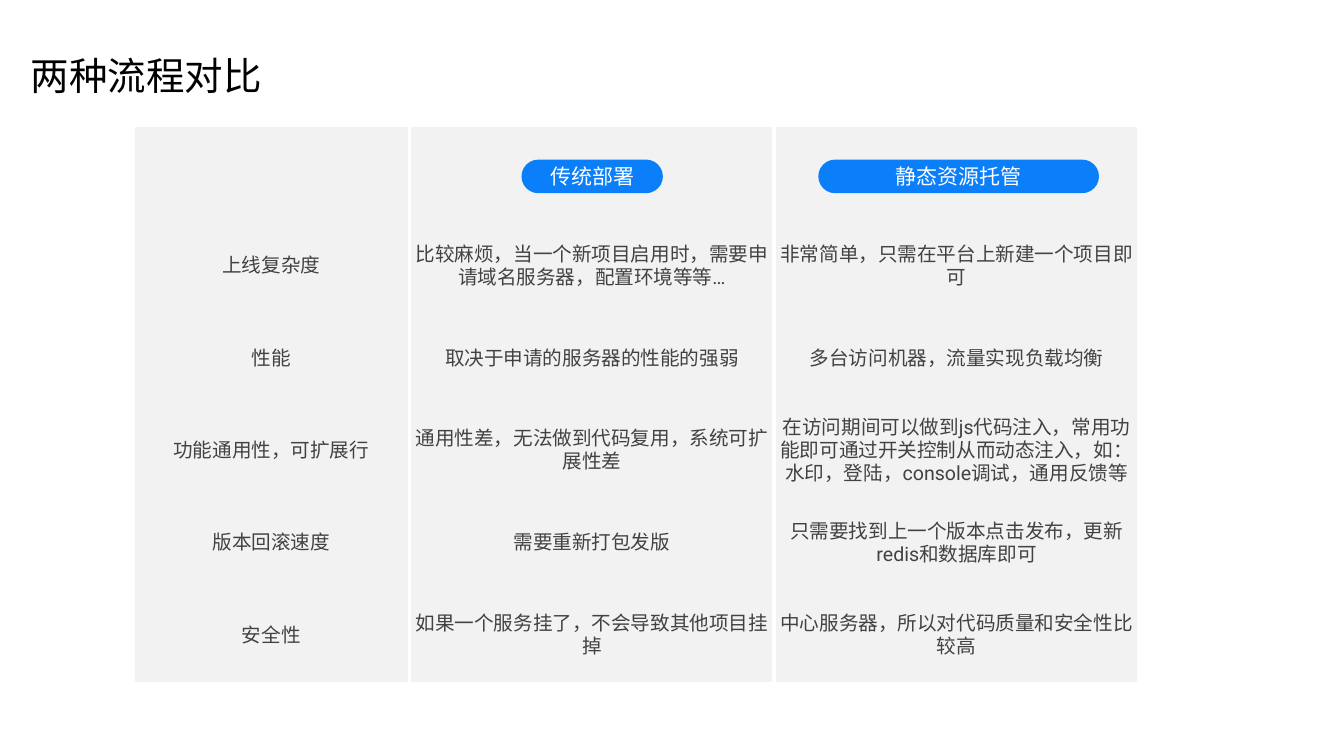
from dataclasses import dataclass

import pptx
import pptx.dml.color
import pptx.enum.shapes
import pptx.enum.text
import pptx.oxml
import pptx.oxml.ns
import pptx.util

PX = 12700
COLORS = {"title": "000000", "body": "424242", "cell": "F2F2F2",
          "border": "FFFFFF", "pill": "0B7EF9", "pill_text": "FFFFFF"}
ANCHOR = pptx.enum.text.MSO_ANCHOR.MIDDLE
CENTER = pptx.enum.text.PP_ALIGN.CENTER
LEFT = pptx.enum.text.PP_ALIGN.LEFT


@dataclass(frozen=True)
class TextStyle:
    font: str
    size: int
    color: str
    align: pptx.enum.text.PP_ALIGN = CENTER


@dataclass(frozen=True)
class Pill:
    text: str
    left: int
    width: int


TITLE = TextStyle("Noto Sans CJK KR", 55, "title", LEFT)
BODY = TextStyle("Roboto", 28, "body")
LABEL = TextStyle("Noto Sans CJK SC", 30, "pill_text")

COLUMNS = (395, 521, 521)
ROW_HEIGHT = 132
ROWS = (
    ("", "", ""),
    ("上线复杂度", "比较麻烦，当一个新项目启用时，需要申请域名服务器，配置环境等等…",
     "非常简单，只需在平台上新建一个项目即可"),
    ("性能", "取决于申请的服务器的性能的强弱", "多台访问机器，流量实现负载均衡"),
    ("功能通用性，可扩展行", "通用性差，无法做到代码复用，系统可扩展性差",
     "在访问期间可以做到js代码注入，常用功能即可通过开关控制从而动态注入，如：水印，登陆，console调试，通用反馈等"),
    ("版本回滚速度", "需要重新打包发版", "只需要找到上一个版本点击发布，更新redis和数据库即可"),
    ("安全性", "如果一个服务挂了，不会导致其他项目挂掉", "中心服务器，所以对代码质量和安全性比较高"),
)
PILLS = (Pill("静态资源托管", 1169, 401), Pill("传统部署", 745, 202))


def px(n: int) -> int:
    return pptx.util.Emu(n * PX)


def rgb(name: str) -> pptx.dml.color.RGBColor:
    return pptx.dml.color.RGBColor.from_string(COLORS[name])


def set_margins(box, margin: int) -> None:
    for side in ("left", "right", "top", "bottom"):
        setattr(box, f"margin_{side}", px(margin))


def write(tf, text: str, style: TextStyle) -> None:
    tf.text = text
    for p in tf.paragraphs:
        p.alignment = style.align
        for r in p.runs:
            r.font.size = pptx.util.Pt(style.size)
            r.font.color.rgb = rgb(style.color)
            r.font.name = style.font
            ea = pptx.oxml.parse_xml(
                f'<a:ea {pptx.oxml.ns.nsdecls("a")} typeface="{style.font}"/>')
            r.font._element.append(ea)


def set_borders(cell) -> None:
    white = f'<a:solidFill><a:srgbClr val="{COLORS["border"]}"/></a:solidFill>'
    edges = (("lnL", 6, white), ("lnR", 6, white),
             ("lnT", 0, "<a:noFill/>"), ("lnB", 0, "<a:noFill/>"))
    tc_pr = cell._tc.get_or_add_tcPr()
    for i, (tag, width, fill) in enumerate(edges):
        tc_pr.insert(i, pptx.oxml.parse_xml(
            f'<a:{tag} {pptx.oxml.ns.nsdecls("a")} w="{px(width)}">{fill}</a:{tag}>'))


def add_title(slide, text: str) -> None:
    tf = slide.shapes.add_textbox(px(40), px(27), px(339), px(160)).text_frame
    tf.word_wrap = False
    tf.vertical_anchor = ANCHOR
    set_margins(tf, 4)
    write(tf, text, TITLE)


def add_comparison(slide) -> None:
    table = slide.shapes.add_table(
        len(ROWS), len(COLUMNS), px(190), px(182),
        px(sum(COLUMNS)), px(ROW_HEIGHT * len(ROWS))).table
    table.first_row = False
    table.horz_banding = False
    for column, width in zip(table.columns, COLUMNS):
        column.width = px(width)
    for row, texts in zip(table.rows, ROWS):
        row.height = px(ROW_HEIGHT)
        for cell, text in zip(row.cells, texts):
            cell.fill.solid()
            cell.fill.fore_color.rgb = rgb("cell")
            cell.vertical_anchor = ANCHOR
            set_margins(cell, 4)
            set_borders(cell)
            write(cell.text_frame, text, BODY)


def add_pill(slide, pill: Pill) -> None:
    sp = slide.shapes.add_shape(
        pptx.enum.shapes.MSO_SHAPE.ROUNDED_RECTANGLE,
        px(pill.left), px(228), px(pill.width), px(48))
    sp.adjustments[0] = 0.5
    sp.shadow.inherit = False
    sp.fill.solid()
    sp.fill.fore_color.rgb = rgb("pill")
    sp.line.fill.background()
    tf = sp.text_frame
    tf.vertical_anchor = ANCHOR
    set_margins(tf, 0)
    write(tf, pill.text, LABEL)


def main() -> None:
    prs = pptx.Presentation()
    prs.slide_width = px(1920)
    prs.slide_height = px(1080)
    slide = prs.slides.add_slide(prs.slide_layouts[6])
    add_title(slide, "两种流程对比")
    add_comparison(slide)
    for pill in PILLS:
        add_pill(slide, pill)
    prs.save("out.pptx")


if __name__ == "__main__":
    main()
